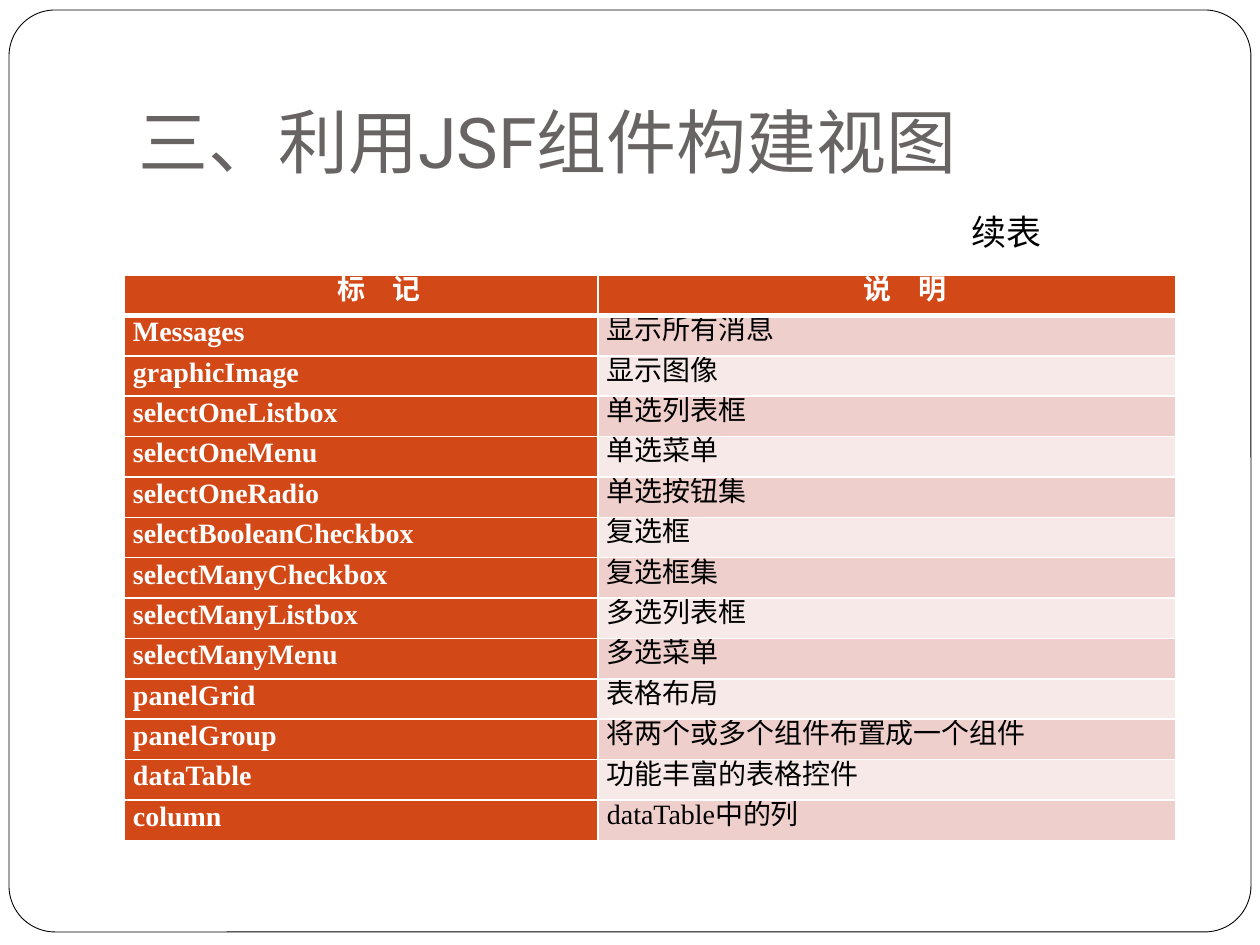
import pptx
import pptx.util
import pptx.dml.color
import pptx.enum.shapes
import pptx.enum.text
import pptx.oxml.ns
from lxml import etree

TITLE = "三、利用JSF组件构建视图"
CAPTION = "续表"
ROWS = [
    ("标　记", "说　明"),
    ("Messages", "显示所有消息"),
    ("graphicImage", "显示图像"),
    ("selectOneListbox", "单选列表框"),
    ("selectOneMenu", "单选菜单"),
    ("selectOneRadio", "单选按钮集"),
    ("selectBooleanCheckbox", "复选框"),
    ("selectManyCheckbox", "复选框集"),
    ("selectManyListbox", "多选列表框"),
    ("selectManyMenu", "多选菜单"),
    ("panelGrid", "表格布局"),
    ("panelGroup", "将两个或多个组件布置成一个组件"),
    ("dataTable", "功能丰富的表格控件"),
    ("column", "dataTable中的列"),
]
FRAME = (9, 10, 1242, 922)
TITLE_BOX = (126, 38, 1071, 157)
CAPTION_BOX = (927, 204, 146, 93)
TABLE = (124, 275, 1052, 566)
COLS = (474, 578)
WHITE, BLACK, GREY, ORANGE = "FFFFFF", "000000", "696464", "D34817"
BANDS = ("F7E9E8", "EFCFCC")
SERIF = "Times New Roman"
ALIGN = pptx.enum.text.PP_ALIGN
ANCHOR = pptx.enum.text.MSO_ANCHOR


def px(n):
    return round(n * 914400 / 126)


def rgb(value):
    return pptx.dml.color.RGBColor.from_string(value)


def write(tf, text, size, font, color, bold=False, indent=0):
    p = tf.paragraphs[0]
    if indent:
        p._p.get_or_add_pPr().set("indent", str(px(indent)))
    r = p.add_run()
    r.text = text
    r.font.size = pptx.util.Pt(size)
    r.font.name = font
    r.font.bold = bold
    r.font.color.rgb = rgb(color)
    return p


def add_text(slide, box, anchor, *args, **kwargs):
    tf = slide.shapes.add_textbox(*map(px, box)).text_frame
    tf.word_wrap = True
    tf.vertical_anchor = anchor
    write(tf, *args, **kwargs)
    return tf


def set_borders(cell, widths):
    tc_pr = cell._tc.get_or_add_tcPr()
    for side, width in widths.items():
        ln = etree.SubElement(tc_pr, pptx.oxml.ns.qn("a:ln" + side), w=str(pptx.util.Pt(width)))
        fill = etree.SubElement(ln, pptx.oxml.ns.qn("a:solidFill"))
        etree.SubElement(fill, pptx.oxml.ns.qn("a:srgbClr"), val=WHITE)


def fill_cell(cell, text, row, col):
    header, label = row == 0, row == 0 or col == 0
    set_borders(cell, {"L": 1, "R": 1, "T": 3 if row == 1 else 1, "B": 3 if header else 1})
    cell.fill.solid()
    cell.fill.fore_color.rgb = rgb(ORANGE if label else BANDS[row % 2])
    cell.vertical_anchor = ANCHOR.MIDDLE
    cell.margin_left = cell.margin_right = px(9)
    cell.margin_top = cell.margin_bottom = 0
    p = write(cell.text_frame, text, 16, SERIF, WHITE if label else BLACK, label, 36 if header else 0)
    p.alignment = ALIGN.CENTER if header else ALIGN.JUSTIFY
    p.line_spacing = pptx.util.Pt(14)


def main():
    prs = pptx.Presentation()
    prs.slide_width, prs.slide_height = px(1260), px(945)
    slide = prs.slides.add_slide(prs.slide_layouts[6])

    s = slide.shapes.add_shape(pptx.enum.shapes.MSO_SHAPE.ROUNDED_RECTANGLE, *map(px, FRAME))
    s.adjustments[0] = 0.05
    s.shadow.inherit = False
    s.fill.solid()
    s.fill.fore_color.rgb = rgb(WHITE)
    s.line.color.rgb = rgb(BLACK)
    s.line.width = pptx.util.Pt(0.5)

    tf = add_text(slide, TITLE_BOX, ANCHOR.BOTTOM, TITLE, 40, "Roboto", GREY)
    tf.margin_bottom = px(13)

    table = slide.shapes.add_table(len(ROWS), len(COLS), *map(px, TABLE)).table
    for column, width in zip(table.columns, COLS):
        column.width = px(width)
    for i, texts in enumerate(ROWS):
        table.rows[i].height = px(TABLE[3] / len(ROWS))
        for j, text in enumerate(texts):
            fill_cell(table.cell(i, j), text, i, j)

    add_text(slide, CAPTION_BOX, ANCHOR.TOP, CAPTION, 20, SERIF, BLACK, indent=32)
    prs.save("out.pptx")


if __name__ == "__main__":
    main()
